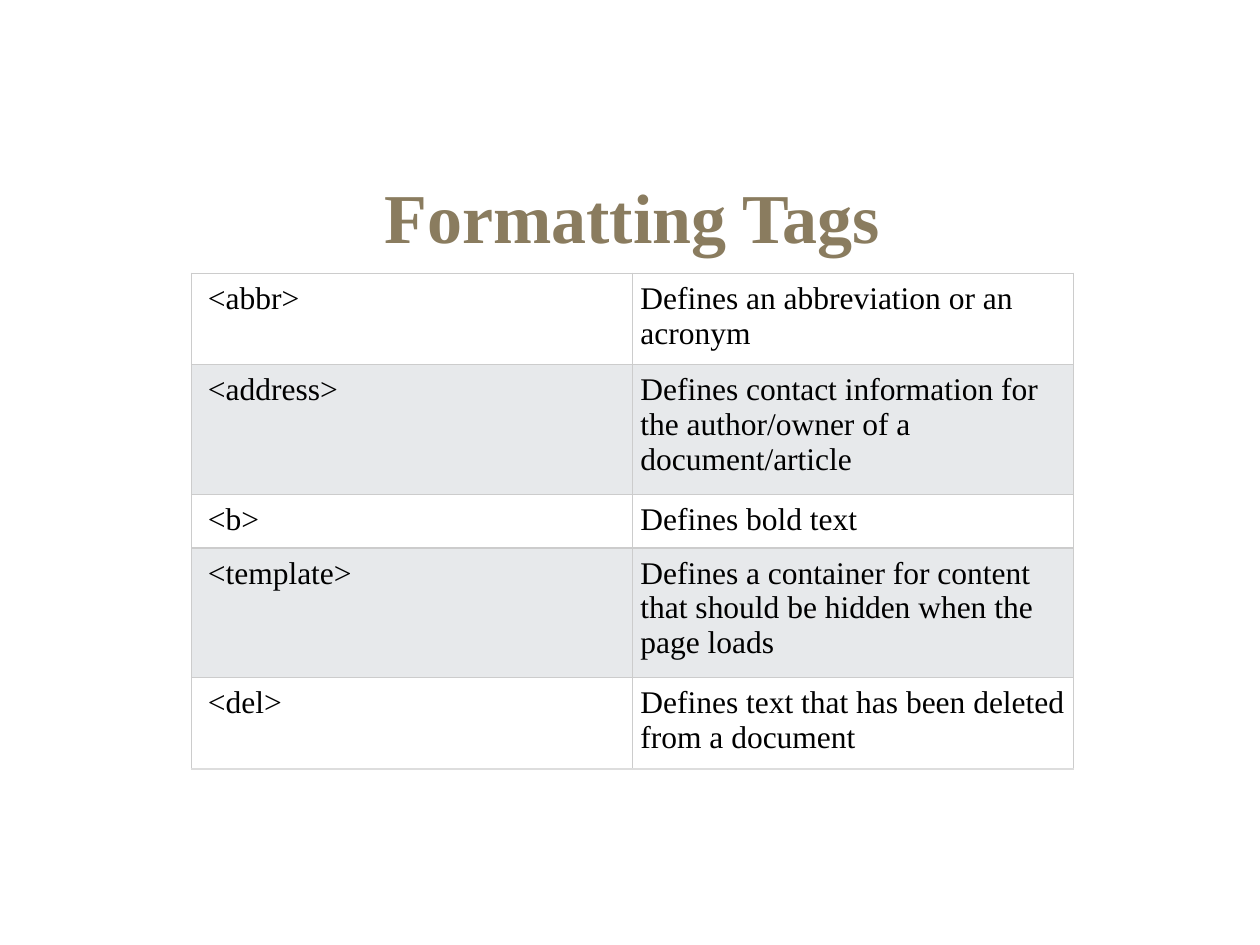
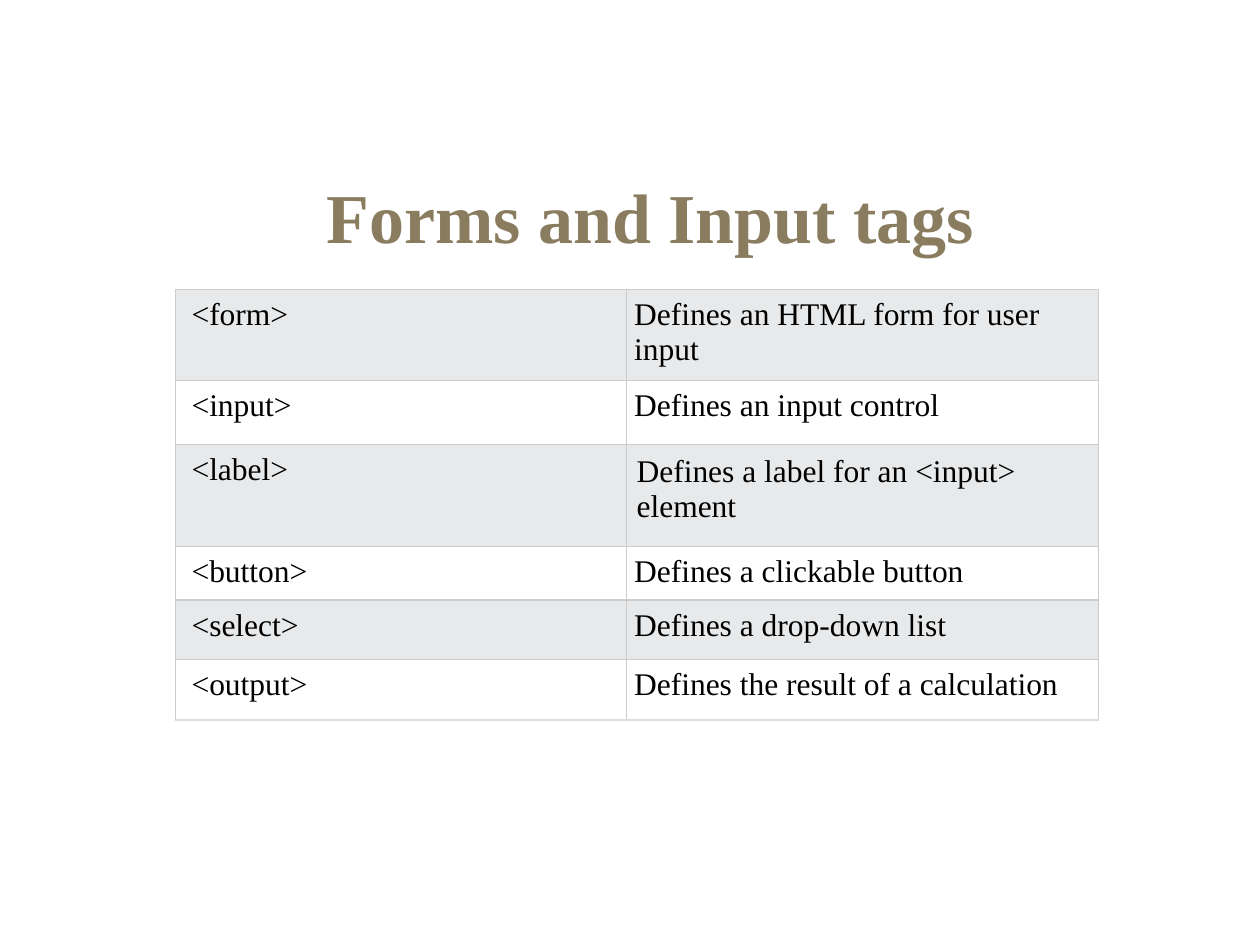
from dataclasses import dataclass

from lxml import etree
from pptx import Presentation
from pptx.dml.color import RGBColor
from pptx.enum.text import MSO_AUTO_SIZE, PP_ALIGN
from pptx.oxml.ns import qn
from pptx.util import Inches, Pt

CENTER = PP_ALIGN.CENTER
FIT_SHAPE = MSO_AUTO_SIZE.SHAPE_TO_FIT_TEXT


@dataclass(frozen=True)
class Theme:
    font: str = "Times New Roman"
    title_size: int = 40
    body_size: int = 18
    title: str = "8A7C5F"
    text: str = "000000"
    plain: str = "FFFFFF"
    band: str = "E7E9EB"
    border: str = "CCCCCC"
    last_border: str = "DDDDDD"
    border_width: float = 0.75


theme = Theme()

presentation = Presentation()
presentation.slide_width = Inches(10)
presentation.slide_height = Inches(7.5)

# Grid: one hundred columns by one hundred rows
COLUMN = presentation.slide_width / 100
ROW = presentation.slide_height / 100
TITLE_TOP, TITLE_HEIGHT = 17.7, 10.3
TAG_INSET, TEXT_INSET, LOOSE_INSET = 1.3, 0.63, 0.83

# Content: each table row is a height in grid rows, a tag and its meaning
slides = [
    {
        "title": "Formatting Tags", "title_left": 29.2, "title_width": 42,
        "left": 15.2, "top": 28.9, "widths": (35, 35), "first_fill": theme.plain,
        "rows": [
            (9.7, "<abbr>", "Defines an abbreviation or an acronym"),
            (13.7, "<address>", "Defines contact information for the author/owner of a document/article"),
            (5.7, "<b>", "Defines bold text"),
            (13.7, "<template>", "Defines a container for content that should be hidden when the page loads"),
            (9.7, "<del>", "Defines text that has been deleted from a document"),
        ],
    },
    {
        "title": "Forms and Input tags", "title_left": 24.7, "title_width": 53.8,
        "left": 13.9, "top": 30.6, "widths": (35.8, 37.5), "first_fill": theme.band,
        "loose_tag": "<label>",
        "rows": [
            (9.7, "<form>", "Defines an HTML form for user input"),
            (6.7, "<input>", "Defines an input control"),
            (10.8, "<label>", "Defines a label for an <input> element"),
            (5.7, "<button>", "Defines a clickable button"),
            (6.3, "<select>", "Defines a drop-down list"),
            (6.4, "<output>", "Defines the result of a calculation"),
        ],
    },
]


def style_text(paragraph, size, color, bold=False):
    for run in paragraph.runs:
        run.font.name = theme.font
        run.font.size = Pt(size)
        run.font.bold = bold
        run.font.color.rgb = RGBColor.from_string(color)


def add_borders(cell, bottom_color):
    properties = cell._tc.get_or_add_tcPr()
    for side in ("L", "R", "T", "B"):
        line = etree.SubElement(properties, qn(f"a:ln{side}"), w=str(Pt(theme.border_width)))
        fill = etree.SubElement(line, qn("a:solidFill"))
        color = bottom_color if side == "B" else theme.border
        etree.SubElement(fill, qn("a:srgbClr"), val=color)


for content in slides:
    slide = presentation.slides.add_slide(presentation.slide_layouts[6])

    # Title
    title = slide.shapes.add_textbox(
        int(content["title_left"] * COLUMN), int(TITLE_TOP * ROW),
        int(content["title_width"] * COLUMN), int(TITLE_HEIGHT * ROW))
    title.text_frame.text = content["title"]
    title.text_frame.word_wrap = False
    title.text_frame.auto_size = FIT_SHAPE
    paragraph = title.text_frame.paragraphs[0]
    paragraph.alignment = CENTER
    style_text(paragraph, theme.title_size, theme.title, bold=True)

    # Table frame
    rows = content["rows"]
    frame = slide.shapes.add_table(
        len(rows), 2, int(content["left"] * COLUMN), int(content["top"] * ROW),
        int(sum(content["widths"]) * COLUMN), int(sum(row[0] for row in rows) * ROW))
    table = frame.table
    table.first_row = False
    table.horz_banding = False
    for table_column, width in zip(table.columns, content["widths"]):
        table_column.width = int(width * COLUMN)

    # Rows with alternating fills
    fills = [theme.plain, theme.band]
    if content["first_fill"] == theme.band:
        fills.reverse()
    for row_index, (height, *texts) in enumerate(rows):
        table.rows[row_index].height = int(height * ROW)
        is_last = row_index == len(rows) - 1
        is_loose = texts[0] == content.get("loose_tag")
        for column_index, text in enumerate(texts):
            cell = table.cell(row_index, column_index)
            cell.text_frame.text = text
            style_text(cell.text_frame.paragraphs[0], theme.body_size, theme.text)
            inset = LOOSE_INSET if is_loose and column_index == 1 else TEXT_INSET
            cell.margin_left = int((TAG_INSET if column_index == 0 else inset) * COLUMN)
            cell.margin_right = cell.margin_top = cell.margin_bottom = int(inset * COLUMN)
            add_borders(cell, theme.last_border if is_last else theme.border)
            cell.fill.solid()
            cell.fill.fore_color.rgb = RGBColor.from_string(fills[row_index % 2])

presentation.save("out.pptx")
